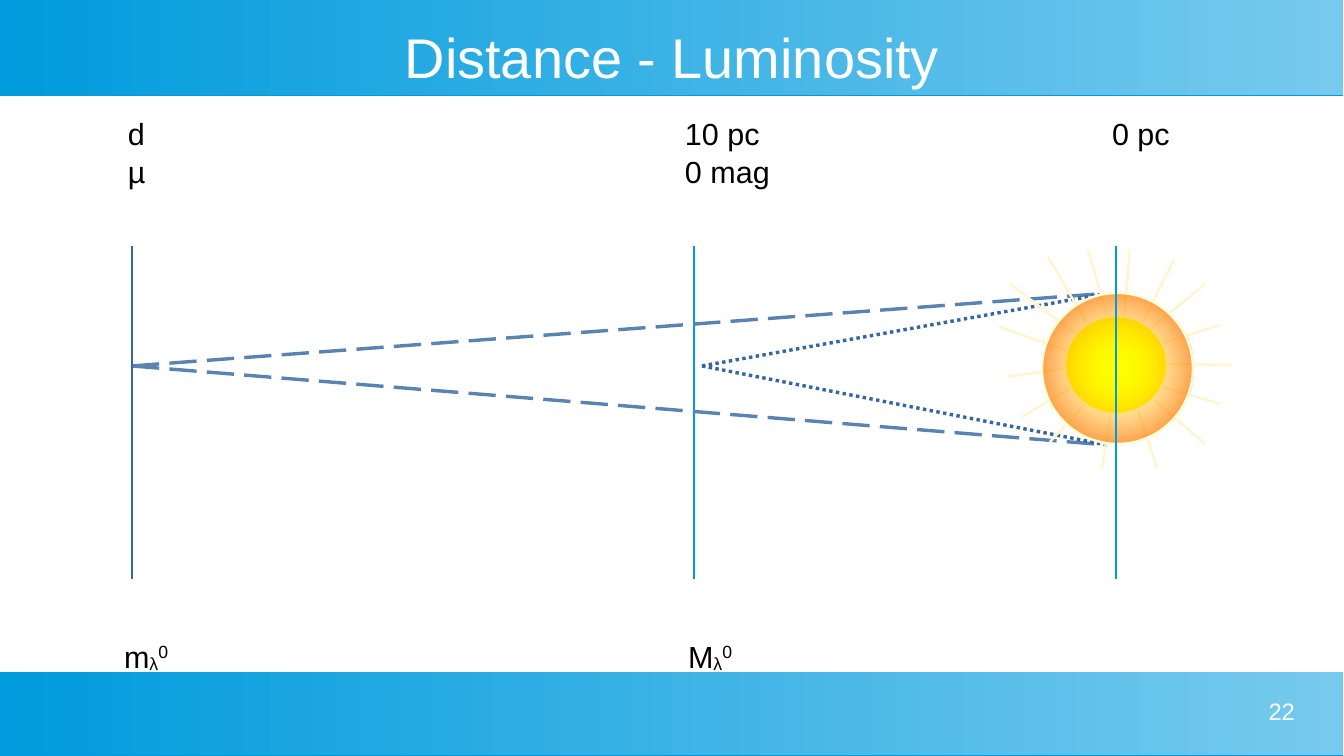
from typing import NamedTuple, Optional

from lxml.etree import SubElement
from pptx import Presentation
from pptx.dml.color import RGBColor
from pptx.enum.dml import MSO_LINE
from pptx.enum.shapes import MSO_CONNECTOR, MSO_SHAPE
from pptx.enum.text import MSO_ANCHOR, PP_ALIGN
from pptx.oxml.ns import qn
from pptx.shapes.autoshape import Shape
from pptx.shapes.shapetree import GroupShapes, SlideShapes
from pptx.util import Emu, Pt

PX = 7495
WHITE = RGBColor(0xFF, 0xFF, 0xFF)
BLACK = RGBColor(0x00, 0x00, 0x00)
BLUE = RGBColor(0x00, 0x9B, 0xDD)
PALE_BLUE = RGBColor(0x77, 0xCA, 0xEE)
NAVY = RGBColor(0x34, 0x65, 0xA4)
STEEL = RGBColor(0x59, 0x83, 0xB0)
RAY = RGBColor(0xFF, 0xF5, 0xCE)
RIM = RGBColor(0xFF, 0xFF, 0xD7)
YELLOW = RGBColor(0xFF, 0xFF, 0x00)
ORANGE = RGBColor(0xFF, 0x40, 0x00)
STROKE = 1.42
PLANE_TOP, PLANE_BOTTOM, AXIS = 246, 579, 366
OBSERVER, TEN_PARSEC, STAR = 132, 694, 1116


class Span(NamedTuple):
    text: str
    baseline: int = 0


class Label(NamedTuple):
    left: int
    top: int
    width: int
    height: int
    spans: tuple[Span, ...]
    size: int = 18
    color: RGBColor = BLACK
    align: PP_ALIGN = PP_ALIGN.LEFT
    anchor: MSO_ANCHOR = MSO_ANCHOR.TOP
    inset_x: int = 12
    inset_y: int = 6


class Segment(NamedTuple):
    x1: int
    y1: int
    x2: int
    y2: int
    color: RGBColor = RAY
    width: float = STROKE
    dash: Optional[MSO_LINE] = None


class Disc(NamedTuple):
    left: int
    top: int
    width: int
    height: int


BANDS = ((0, 95), (672, 83))
LABELS = (
    Label(48, 24, 1248, 64, (Span("Distance - Luminosity"),), 33, WHITE,
          PP_ALIGN.CENTER, MSO_ANCHOR.MIDDLE, 0, 0),
    Label(116, 109, 371, 45, (Span("d"),)),
    Label(116, 147, 371, 45, (Span("µ"),)),
    Label(673, 109, 181, 45, (Span("10 pc"),)),
    Label(673, 147, 150, 45, (Span("0 mag"),)),
    Label(1100, 109, 87, 45, (Span("0 pc"),)),
    Label(112, 632, 87, 45, (Span("m"), Span("λ", -8), Span("0", 33))),
    Label(676, 632, 87, 45, (Span("M"), Span("λ", -8), Span("0", 33))),
    Label(985, 697, 310, 48, (Span("22"),), 14, WHITE, PP_ALIGN.RIGHT,
          inset_x=0, inset_y=0),
)
SIGHT_LINES = (
    Segment(OBSERVER, AXIS, 1098, 294, STEEL, 0, MSO_LINE.LONG_DASH),
    Segment(OBSERVER, AXIS, 1107, 445, STEEL, 0, MSO_LINE.LONG_DASH),
    Segment(702, AXIS, 1104, 294, NAVY, 0, MSO_LINE.ROUND_DOT),
    Segment(702, AXIS, 1107, 445, NAVY, 0, MSO_LINE.ROUND_DOT),
)
RAYS = (
    (1168, 364, 1233, 365), (1163, 387, 1220, 404),
    (1155, 401, 1205, 444), (1163, 343, 1220, 325),
    (1152, 328, 1205, 284), (1124, 317, 1130, 249),
    (1107, 316, 1088, 249), (1141, 325, 1174, 260),
    (1138, 410, 1157, 468), (1111, 410, 1102, 468),
    (1088, 401, 1050, 442), (1074, 386, 1022, 417),
    (1068, 368, 1007, 377), (1076, 334, 1010, 284),
    (1088, 325, 1048, 257), (1068, 351, 999, 327),
)
CORE = Disc(1065, 316, 102, 98)
HALO = Disc(1042, 293, 151, 151)


def px(value: int) -> Emu:
    return Emu(value * PX)


def set_gradient(shape: Shape, first: RGBColor, last: RGBColor) -> None:
    shape.fill.gradient()
    for stop, color, position in zip(shape.fill.gradient_stops, (first, last), (0, 1)):
        stop.color.rgb = color
        stop.position = position


def add_band(shapes: SlideShapes, top: int, height: int) -> None:
    band = shapes.add_shape(MSO_SHAPE.RECTANGLE, 0, px(top), px(1343), px(height))
    set_gradient(band, PALE_BLUE, BLUE)
    band.fill.gradient_angle = 180
    band.line.fill.background()
    effects = SubElement(band._element.spPr, qn("a:effectLst"))
    shadow = SubElement(effects, qn("a:outerShdw"), blurRad="0", dist="11430",
                        dir="5400000", algn="ctr", rotWithShape="0")
    SubElement(shadow, qn("a:srgbClr"), val=str(BLUE))


def add_label(shapes: SlideShapes, label: Label) -> None:
    box = shapes.add_textbox(px(label.left), px(label.top), px(label.width), px(label.height))
    frame = box.text_frame
    frame.word_wrap = True
    frame.vertical_anchor = label.anchor
    frame.margin_left = frame.margin_right = px(label.inset_x)
    frame.margin_top = frame.margin_bottom = px(label.inset_y)
    para = frame.paragraphs[0]
    para.alignment = label.align
    for span in label.spans:
        run = para.add_run()
        run.text = span.text
        run.font.name = "Arial"
        run.font.size = Pt(label.size)
        run.font.color.rgb = label.color
        if span.baseline:
            run.font._element.set("baseline", str(span.baseline * 1000))


def add_segment(shapes: SlideShapes | GroupShapes, segment: Segment) -> None:
    line = shapes.add_connector(MSO_CONNECTOR.STRAIGHT, px(segment.x1), px(segment.y1),
                                px(segment.x2), px(segment.y2))
    line.line.color.rgb = segment.color
    line.line.width = Pt(segment.width)
    if segment.dash is not None:
        line.line.dash_style = segment.dash
    SubElement(line._element.spPr, qn("a:effectLst"))


def add_disc(shapes: GroupShapes, disc: Disc) -> Shape:
    shape = shapes.add_shape(MSO_SHAPE.OVAL, *map(px, disc))
    shape.shadow.inherit = False
    shape.line.color.rgb = RIM
    shape.line.width = Pt(STROKE)
    return shape


def add_star(shapes: SlideShapes) -> None:
    star = shapes.add_group_shape().shapes
    for ray in RAYS:
        add_segment(star, Segment(*ray))
    core = add_disc(star, CORE)
    core.fill.solid()
    core.fill.fore_color.rgb = YELLOW
    halo = add_disc(star, HALO)
    set_gradient(halo, YELLOW, ORANGE)
    gradient = halo._element.spPr.find(qn("a:gradFill"))
    SubElement(gradient.find(".//" + qn("a:srgbClr")), qn("a:alpha"), val="0")
    gradient.remove(gradient.find(qn("a:lin")))
    radial = SubElement(gradient, qn("a:path"), path="circle")
    SubElement(radial, qn("a:fillToRect"), l="50000", t="50000", r="50000", b="50000")


def add_plane(shapes: SlideShapes, x: int, color: RGBColor) -> None:
    add_segment(shapes, Segment(x, PLANE_TOP, x, PLANE_BOTTOM, color))


def main() -> None:
    """Build the distance and luminosity slide."""
    deck = Presentation()
    deck.slide_width, deck.slide_height = px(1344), px(756)
    page = deck.slides.add_slide(deck.slide_layouts[6])
    shapes = page.shapes
    for top, height in BANDS:
        add_band(shapes, top, height)
    add_plane(shapes, TEN_PARSEC, BLUE)
    for sight_line in SIGHT_LINES:
        add_segment(shapes, sight_line)
    add_plane(shapes, OBSERVER, NAVY)
    add_star(shapes)
    add_plane(shapes, STAR, BLUE)
    for label in LABELS:
        add_label(shapes, label)
    deck.save("out.pptx")


if __name__ == "__main__":
    main()
